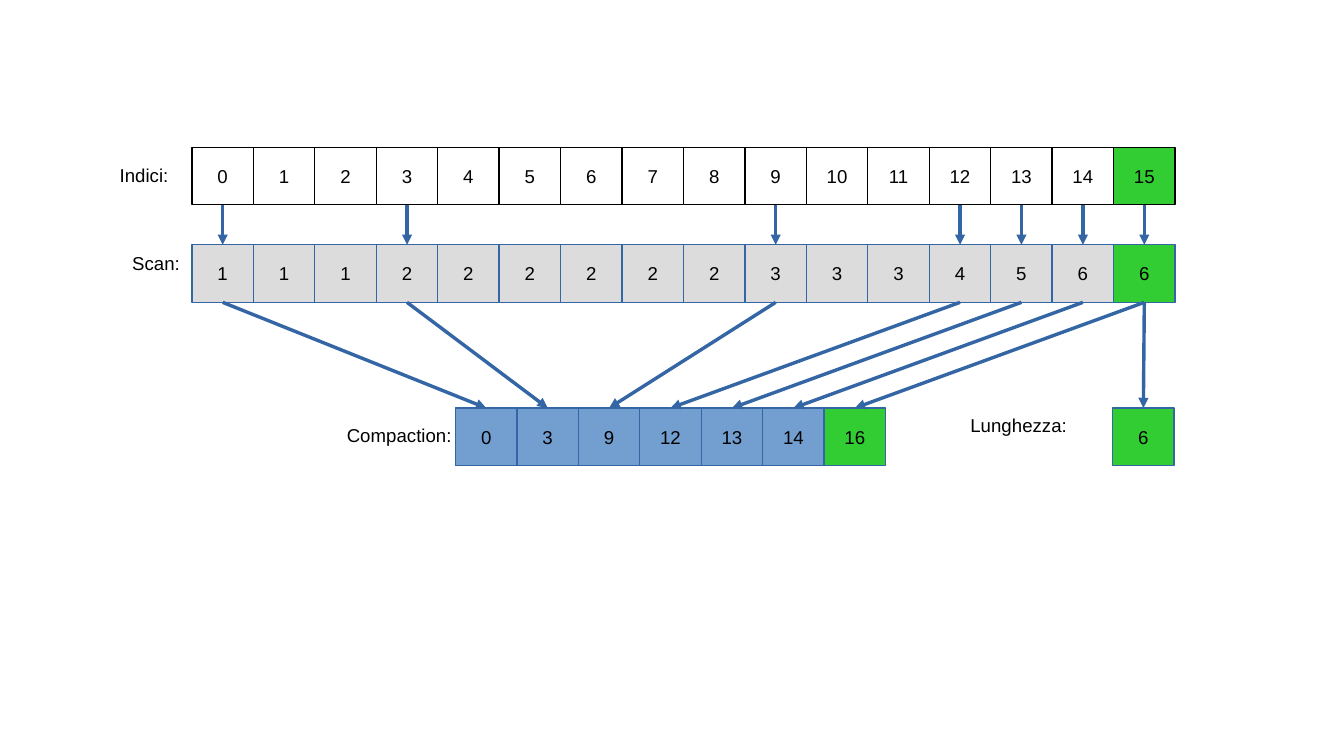
from dataclasses import dataclass

from lxml.etree import SubElement
from pptx import Presentation
from pptx.dml.color import RGBColor as RGB
from pptx.enum.shapes import MSO_CONNECTOR as Connector, MSO_SHAPE as Shape
from pptx.enum.text import MSO_ANCHOR as Anchor, PP_ALIGN as Align
from pptx.oxml.ns import qn
from pptx.util import Cm, Pt

# Content
INDICES = list(range(16))
SCAN = [1, 1, 1, 2, 2, 2, 2, 2, 2, 3, 3, 3, 4, 5, 6, 6]
COMPACTION = [0, 3, 9, 12, 13, 14, 16]
LENGTH = [6]
KEPT = [0, 3, 9, 12, 13, 14, 15]  # columns that pass into the compaction
LABELS = [  # text, left, top, width, height in cm
    ("Indici:", 2.23, 3.3, 1.53, 1.12),
    ("Scan:", 1.5, 5.13, 2.5, 0.69),
    ("Compaction:", 4, 8.71, 5.66, 1.12),
    ("Lunghezza:", 19.3, 8.5, 3.18, 1.12),
]


@dataclass(frozen=True)
class Theme:
    font: str = "Arial"
    size: Pt = Pt(11)
    text: RGB = RGB(0x00, 0x00, 0x00)
    line: RGB = RGB(0x34, 0x65, 0xA4)
    index: RGB = RGB(0xFF, 0xFF, 0xFF)
    scan: RGB = RGB(0xDC, 0xDC, 0xDC)
    compact: RGB = RGB(0x72, 0x9F, 0xCF)
    last: RGB = RGB(0x32, 0xCD, 0x32)


THEME = Theme()
CELL_W, CELL_H = 1.28, 1.2
TOP, BOTTOM = 0, 2  # connection sites of a rectangle


def write(frame, words, align):
    frame.text = words
    paragraph = frame.paragraphs[0]
    paragraph.alignment = align
    paragraph.font.name = THEME.font
    paragraph.font.size = THEME.size
    paragraph.font.color.rgb = THEME.text


def add_row(slide, values, left, top, fill, line=THEME.line):
    """Adjoining cells; the last one is highlighted."""
    cells = []
    for column, value in enumerate(values):
        cell = slide.shapes.add_shape(
            Shape.RECTANGLE, Cm(left + column * CELL_W), Cm(top), Cm(CELL_W), Cm(CELL_H))
        cell.shadow.inherit = False
        cell.fill.solid()
        cell.fill.fore_color.rgb = THEME.last if column == len(values) - 1 else fill
        cell.line.color.rgb = line
        cell.line.width = Pt(0)
        cell.text_frame.word_wrap = False
        cell.text_frame.vertical_anchor = Anchor.MIDDLE
        write(cell.text_frame, str(value), Align.CENTER)
        cells.append(cell)
    return cells


def add_arrow(slide, source, target):
    arrow = slide.shapes.add_connector(Connector.STRAIGHT, 0, 0, 0, 0)
    arrow.begin_connect(source, BOTTOM)
    arrow.end_connect(target, TOP)
    arrow.line.color.rgb = THEME.line
    arrow.line.width = Pt(0)
    SubElement(arrow.line._get_or_add_ln(), qn("a:tailEnd"), type="triangle")
    SubElement(arrow._element.spPr, qn("a:effectLst"))


def add_label(slide, words, left, top, width, height):
    label = slide.shapes.add_textbox(Cm(left), Cm(top), Cm(width), Cm(height))
    label.text_frame.word_wrap = True
    write(label.text_frame, words, Align.RIGHT)


def main():
    deck = Presentation()
    deck.slide_width, deck.slide_height = Cm(28), Cm(15.75)
    slide = deck.slides.add_slide(deck.slide_layouts[6])

    # Rows of cells
    scan = add_row(slide, SCAN, 4, 5.1, THEME.scan)
    compaction = add_row(slide, COMPACTION, 9.49, 8.5, THEME.compact)
    length = add_row(slide, LENGTH, 23.18, 8.5, THEME.compact)
    indices = add_row(slide, INDICES, 4, 3.07, THEME.index, THEME.text)

    # Arrows from indices to scan, and from scan to the results
    for column, target in zip(KEPT, compaction):
        add_arrow(slide, indices[column], scan[column])
        add_arrow(slide, scan[column], target)
    add_arrow(slide, scan[-1], length[0])

    # Row labels
    for label in LABELS:
        add_label(slide, *label)

    deck.save("out.pptx")


if __name__ == "__main__":
    main()
